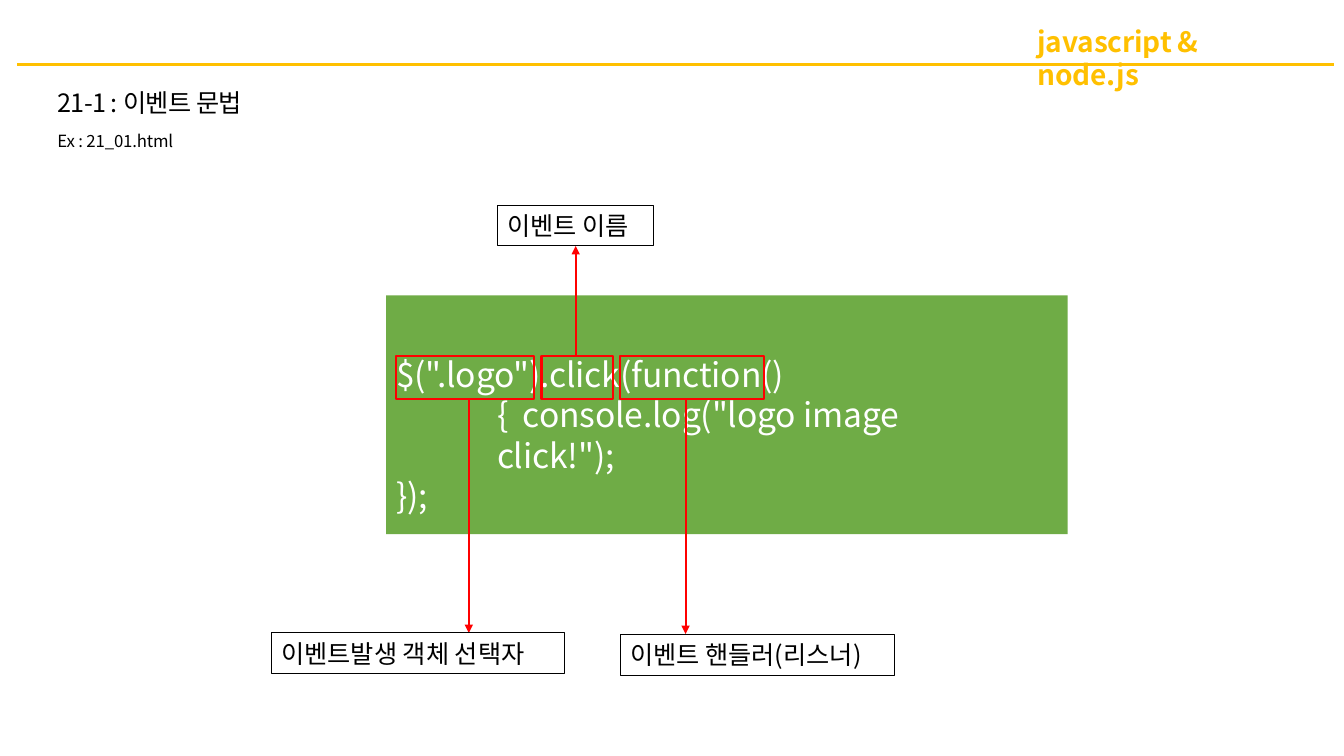
from dataclasses import dataclass

from lxml import etree
from pptx import Presentation
from pptx.dml.color import RGBColor
from pptx.enum.shapes import MSO_CONNECTOR, MSO_SHAPE
from pptx.enum.text import MSO_ANCHOR, MSO_AUTO_SIZE, PP_ALIGN
from pptx.oxml.ns import qn
from pptx.util import Inches, Pt

RECTANGLE = MSO_SHAPE.RECTANGLE
STRAIGHT = MSO_CONNECTOR.STRAIGHT
TOP = MSO_ANCHOR.TOP
LEFT = PP_ALIGN.LEFT
NO_AUTOFIT = MSO_AUTO_SIZE.NONE

FONT = "Noto Sans CJK KR"
BLACK = RGBColor(0x00, 0x00, 0x00)
WHITE = RGBColor(0xFF, 0xFF, 0xFF)
AMBER = RGBColor(0xFF, 0xC0, 0x00)
GREEN = RGBColor(0x6F, 0xAC, 0x46)
RED = RGBColor(0xFF, 0x00, 0x00)

MARK_TOP = 3.53
MARK_HEIGHT = 0.43
MARK_BOTTOM = MARK_TOP + MARK_HEIGHT


@dataclass(frozen=True)
class Box:
    left: float
    top: float
    width: float
    height: float


@dataclass(frozen=True)
class Line:
    text: str
    size: float
    color: RGBColor = BLACK
    bold: bool = False
    margin: float = 0.01
    indent: float = 0
    before: float = 0
    tracking: int = -10


@dataclass(frozen=True)
class Callout:
    mark_left: float
    mark_width: float
    arrow_x: float
    text: str
    label: Box


CALLOUTS = [
    Callout(3.93, 1.37, 4.65, "이벤트발생 객체 선택자", Box(2.69, 6.28, 2.91, 0.4)),
    Callout(5.37, 0.71, 5.71, "이벤트 이름", Box(4.93, 2.04, 1.55, 0.4)),
    Callout(6.15, 1.43, 6.8, "이벤트 핸들러(리스너)", Box(6.15, 6.29, 2.72, 0.41)),
]


def apply_format(target, values: dict) -> None:
    for name, value in values.items():
        setattr(target, name, value)


def place(shape, box: Box) -> None:
    apply_format(shape, {
        "left": Inches(box.left),
        "top": Inches(box.top),
        "width": Inches(box.width),
        "height": Inches(box.height),
    })


def write(shape, lines: list[Line], inset_top: float = 0.01) -> None:
    frame = shape.text_frame
    apply_format(frame, {
        "auto_size": NO_AUTOFIT,
        "word_wrap": True,
        "vertical_anchor": TOP,
        "margin_left": 0,
        "margin_right": 0,
        "margin_top": Inches(inset_top),
        "margin_bottom": 0,
    })
    for number, line in enumerate(lines):
        paragraph = frame.add_paragraph() if number else frame.paragraphs[0]
        apply_format(paragraph, {
            "alignment": LEFT,
            "line_spacing": 1.0,
            "space_before": Pt(line.before),
        })
        properties = paragraph._p.get_or_add_pPr()
        properties.set("marL", str(Inches(line.margin)))
        properties.set("indent", str(Inches(line.indent)))
        run = paragraph.add_run()
        run.text = line.text
        apply_format(run.font, {"name": FONT, "size": Pt(line.size), "bold": line.bold})
        run.font.color.rgb = line.color
        run_properties = run._r.get_or_add_rPr()
        run_properties.set("spc", str(line.tracking))
        etree.SubElement(run_properties, qn("a:ea"), typeface=FONT)


def add_text(slide, box: Box, lines: list[Line]) -> None:
    text_box = slide.shapes.add_textbox(0, 0, 0, 0)
    place(text_box, box)
    write(text_box, lines)


def add_rectangle(slide, box: Box, fill: RGBColor | None = None,
                  line: RGBColor | None = None, weight: float = 0):
    rectangle = slide.shapes.add_shape(RECTANGLE, 0, 0, 0, 0)
    place(rectangle, box)
    rectangle.shadow.inherit = False
    if fill is None:
        rectangle.fill.background()
    else:
        rectangle.fill.solid()
        rectangle.fill.fore_color.rgb = fill
    if line is None:
        rectangle.line.fill.background()
    else:
        rectangle.line.color.rgb = line
        rectangle.line.width = Pt(weight)
    return rectangle


def add_line(slide, start: tuple[float, float], end: tuple[float, float],
             color: RGBColor, arrow: bool = False) -> None:
    points = [Inches(value) for value in (*start, *end)]
    connector = slide.shapes.add_connector(STRAIGHT, *points)
    connector.line.color.rgb = color
    connector.line.width = Pt(1.56)
    if arrow:
        etree.SubElement(connector.line._get_or_add_ln(), qn("a:tailEnd"), type="triangle")
    etree.SubElement(connector._element.spPr, qn("a:effectLst"))


def add_callout(slide, callout: Callout) -> None:
    mark = Box(callout.mark_left, MARK_TOP, callout.mark_width, MARK_HEIGHT)
    add_rectangle(slide, mark, line=RED, weight=1.56)
    label = callout.label
    if label.top < MARK_TOP:
        start_y, end_y = MARK_TOP, label.top + label.height
    else:
        start_y, end_y = MARK_BOTTOM, label.top
    add_line(slide, (callout.arrow_x, start_y), (callout.arrow_x, end_y), RED, arrow=True)
    frame = add_rectangle(slide, label, line=BLACK, weight=0.72)
    write(frame, [Line(callout.text, 18, margin=0.1, tracking=0)], inset_top=0.05)


def main() -> None:
    presentation = Presentation()
    presentation.slide_width = Inches(13.33)
    presentation.slide_height = Inches(7.5)
    slide = presentation.slides.add_slide(presentation.slide_layouts[5])

    course = slide.shapes.title
    place(course, Box(10.28, 0.23, 2.66, 0.36))
    write(course, [Line("javascript & node.js", 20, AMBER, bold=True)])
    add_line(slide, (0.17, 0.64), (13.23, 0.64), AMBER)

    add_text(slide, Box(0.56, 0.86, 1.97, 0.66), [
        Line("21-1 : 이벤트 문법", 18, tracking=-40),
        Line("Ex : 21_01.html", 12, before=9.2),
    ])

    add_rectangle(slide, Box(3.83, 2.93, 6.76, 2.37), fill=GREEN)
    add_text(slide, Box(3.92, 3.5, 5.87, 1.23), [
        Line('$(".logo").click(function(){  console.log("logo image click!");', 24, WHITE,
             margin=1.01, indent=-1),
        Line("});", 24, WHITE),
    ])

    for callout in CALLOUTS:
        add_callout(slide, callout)

    presentation.save("out.pptx")


if __name__ == "__main__":
    main()
